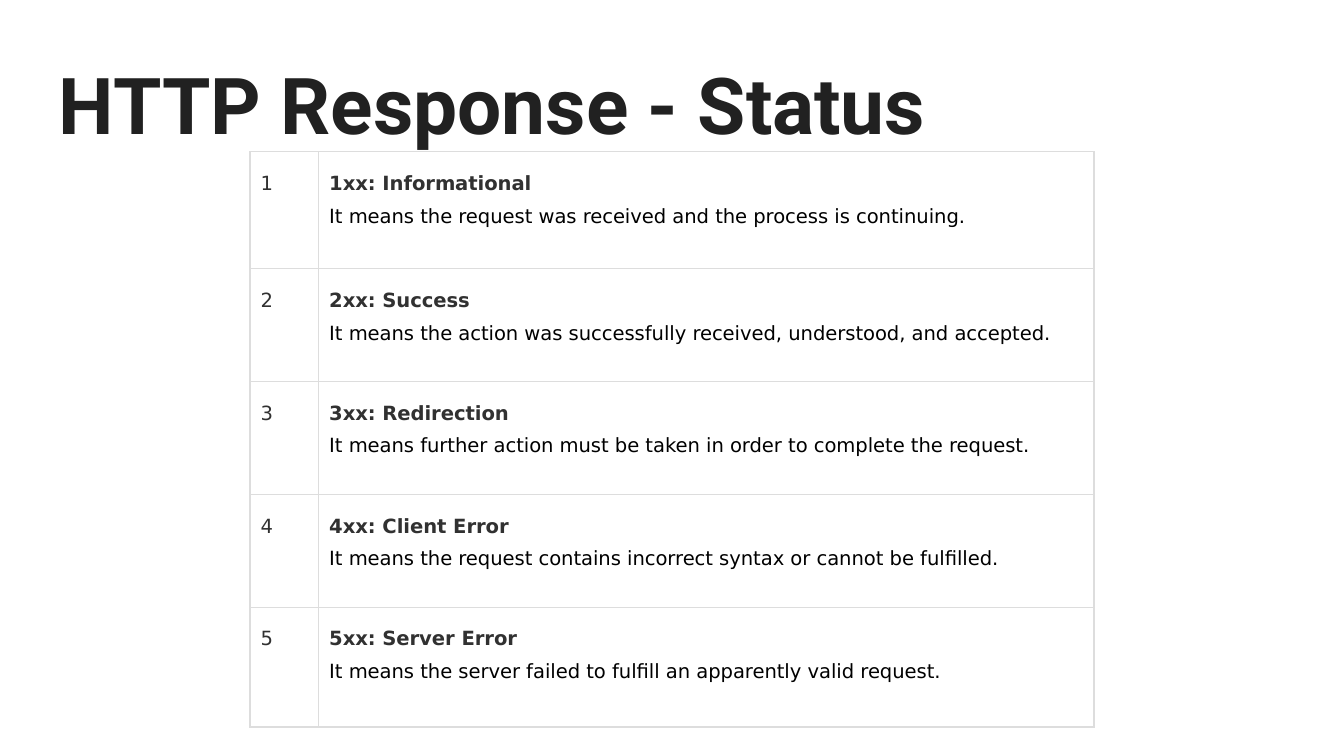
from dataclasses import dataclass

from lxml import etree
from pptx import Presentation
from pptx import util as u
from pptx.dml.color import RGBColor
from pptx.enum import text
from pptx.oxml import ns


@dataclass(frozen=True)
class Theme:
    title_font: str = "Roboto"
    body_font: str = "DejaVu Sans"
    title_size: float = 42
    body_size: float = 10.5
    title: str = "212121"
    heading: str = "313131"
    body: str = "000000"
    border: str = "DDDDDD"
    border_width: float = 0.75
    line_spacing: float = 1.43


THEME = Theme()

SLIDE_WIDTH = 10
SLIDE_HEIGHT = SLIDE_WIDTH * 9 / 16

STATUSES = [
    ("1xx: Informational",
     "It means the request was received and the process is continuing."),
    ("2xx: Success",
     "It means the action was successfully received, understood, and accepted."),
    ("3xx: Redirection",
     "It means further action must be taken in order to complete the request."),
    ("4xx: Client Error",
     "It means the request contains incorrect syntax or cannot be fulfilled."),
    ("5xx: Server Error",
     "It means the server failed to fulfill an apparently valid request."),
]
COLUMN_WIDTHS = [0.51, 5.77]
ROW_HEIGHTS = [0.87, 0.84, 0.84, 0.84, 0.89]


def add_run(p, content, font=THEME.body_font, size=THEME.body_size,
            color=THEME.heading, bold=False):
    r = p.add_run()
    r.text = content
    r.font.name = font
    r.font.size = u.Pt(size)
    r.font.bold = bold
    r.font.color.rgb = RGBColor.from_string(color)


def set_margins(box, inches):
    margin = u.Inches(inches)
    box.margin_left = box.margin_right = margin
    box.margin_top = box.margin_bottom = margin


def add_title(s, content):
    sp = s.shapes.add_textbox(u.Inches(0.34), u.Inches(0.32),
                              u.Inches(9.32), u.Inches(0.88))
    tf = sp.text_frame
    tf.word_wrap = True
    set_margins(tf, 0.1)
    add_run(tf.paragraphs[0], content, font=THEME.title_font,
            size=THEME.title_size, color=THEME.title, bold=True)


def set_borders(cell):
    tc_pr = cell._tc.get_or_add_tcPr()
    for side in ("lnL", "lnR", "lnT", "lnB"):
        ln = etree.SubElement(tc_pr, ns.qn(f"a:{side}"),
                              w=str(u.Pt(THEME.border_width)))
        fill = etree.SubElement(ln, ns.qn("a:solidFill"))
        etree.SubElement(fill, ns.qn("a:srgbClr"), val=THEME.border)


def format_cell(cell):
    """Style an empty cell and return its paragraph."""
    set_borders(cell)
    cell.fill.background()
    set_margins(cell, 0.08)
    cell.vertical_anchor = text.MSO_ANCHOR.TOP
    p = cell.text_frame.paragraphs[0]
    p.line_spacing = THEME.line_spacing
    return p


def add_status_table(s):
    frame = s.shapes.add_table(
        len(STATUSES), len(COLUMN_WIDTHS), u.Inches(1.86), u.Inches(1.13),
        u.Inches(sum(COLUMN_WIDTHS)), u.Inches(sum(ROW_HEIGHTS)))
    table = frame.table
    table.first_row = table.horz_banding = False
    for column, width in zip(table.columns, COLUMN_WIDTHS):
        column.width = u.Inches(width)
    for row, height in zip(table.rows, ROW_HEIGHTS):
        row.height = u.Inches(height)

    for i, (heading, meaning) in enumerate(STATUSES):
        add_run(format_cell(table.cell(i, 0)), str(i + 1))
        p = format_cell(table.cell(i, 1))
        add_run(p, heading, bold=True)
        p.add_line_break()
        add_run(p, meaning, color=THEME.body)


def main():
    prs = Presentation()
    prs.slide_width = u.Inches(SLIDE_WIDTH)
    prs.slide_height = u.Inches(SLIDE_HEIGHT)
    s = prs.slides.add_slide(prs.slide_layouts[6])
    add_title(s, "HTTP Response - Status")
    add_status_table(s)
    prs.save("out.pptx")


if __name__ == "__main__":
    main()
